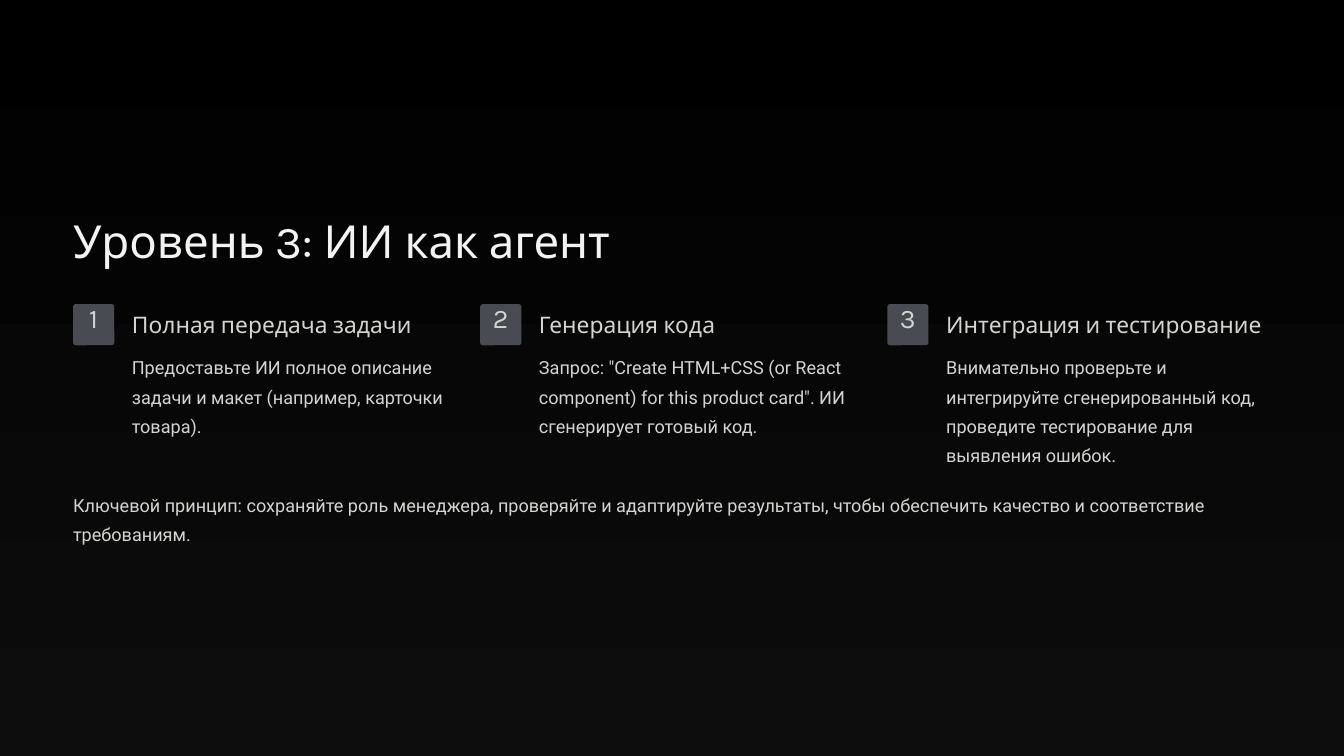
"""Build the slide on AI as an agent: a title, three numbered steps and a key principle."""
from pptx import Presentation
from pptx.dml.color import RGBColor
from pptx.enum.shapes import MSO_SHAPE
from pptx.enum.text import MSO_ANCHOR, MSO_AUTO_SIZE, PP_ALIGN
from pptx.util import Inches, Pt

BADGE = MSO_SHAPE.ROUNDED_RECTANGLE
TOP = MSO_ANCHOR.TOP
NO_FIT = MSO_AUTO_SIZE.NONE
LEFT, CENTER = PP_ALIGN.LEFT, PP_ALIGN.CENTER

COLORS = {"top": "000000", "bottom": "0D0D0D", "title": "F3F3F2",
          "text": "D4D4D1", "badge": "484B51"}
TITLE = "Уровень 3: ИИ как агент"
STEPS = [
    ("Полная передача задачи",
     "Предоставьте ИИ полное описание задачи и макет (например, карточки товара)."),
    ("Генерация кода",
     'Запрос: "Create HTML+CSS (or React component) for this product card". '
     "ИИ сгенерирует готовый код."),
    ("Интеграция и тестирование",
     "Внимательно проверьте и интегрируйте сгенерированный код, "
     "проведите тестирование для выявления ошибок."),
]
PRINCIPLE = ("Ключевой принцип: сохраняйте роль менеджера, проверяйте и адаптируйте "
             "результаты, чтобы обеспечить качество и соответствие требованиям.")

WIDTH, HEIGHT = 16, 9
MARGIN = 0.87
CONTENT = WIDTH - 2 * MARGIN
GAP = 0.28
COLUMN = (CONTENT - 2 * GAP) / 3
BADGE_SIZE, BADGE_TOP = 0.49, 3.62
INDENT = 0.7
BODY = dict(font="Roboto", size=15.5, leading=25)


def color(name):
    return RGBColor.from_string(COLORS[name])


def box(x, y, w, h):
    return [Inches(v) for v in (x, y, w, h)]


def write(sp, text, font="Karla", size=19.5, leading=24, fill="text",
          align=LEFT, wrap=True):
    tf = sp.text_frame
    tf.margin_left = tf.margin_top = tf.margin_right = tf.margin_bottom = 0
    tf.auto_size, tf.vertical_anchor, tf.word_wrap = NO_FIT, TOP, wrap
    p = tf.paragraphs[0]
    p.alignment, p.line_spacing = align, Pt(leading)
    r = p.add_run()
    r.text = text
    r.font.name, r.font.size = font, Pt(size)
    r.font.color.rgb = color(fill)


def add_step(s, number, heading, body):
    x = MARGIN + (number - 1) * (COLUMN + GAP)
    sp = s.shapes.add_shape(BADGE, *box(x, BADGE_TOP, BADGE_SIZE, BADGE_SIZE))
    sp.adjustments[0] = 0.067
    sp.shadow.inherit = False
    sp.fill.solid()
    sp.fill.fore_color.rgb = color("badge")
    sp.line.fill.background()

    text_x, text_w = x + INDENT, COLUMN - INDENT
    write(s.shapes.add_textbox(*box(x + 0.08, 3.66, 0.33, 0.41)), str(number),
          size=23, leading=23, align=CENTER, wrap=False)
    write(s.shapes.add_textbox(*box(text_x, 3.69, text_w, 0.34)), heading, wrap=False)
    write(s.shapes.add_textbox(*box(text_x, 4.16, text_w, 1.39)), body, **BODY)


def main():
    prs = Presentation()
    prs.slide_width, prs.slide_height = Inches(WIDTH), Inches(HEIGHT)
    s = prs.slides.add_slide(prs.slide_layouts.get_by_name("Title Only"))

    fill = s.background.fill
    fill.gradient()
    fill.gradient_angle = 270
    for stop, position, name in zip(fill.gradient_stops, (0, 1), ("top", "bottom")):
        stop.position = position
        stop.color.rgb = color(name)

    title = s.shapes.title
    title.left, title.top, title.width, title.height = box(MARGIN, 2.51, 7, 0.68)
    write(title, TITLE, size=39, leading=48.5, fill="title")

    for number, (heading, body) in enumerate(STEPS, 1):
        add_step(s, number, heading, body)
    write(s.shapes.add_textbox(*box(MARGIN, 5.8, CONTENT, 0.69)), PRINCIPLE, **BODY)
    prs.save("out.pptx")


if __name__ == "__main__":
    main()
